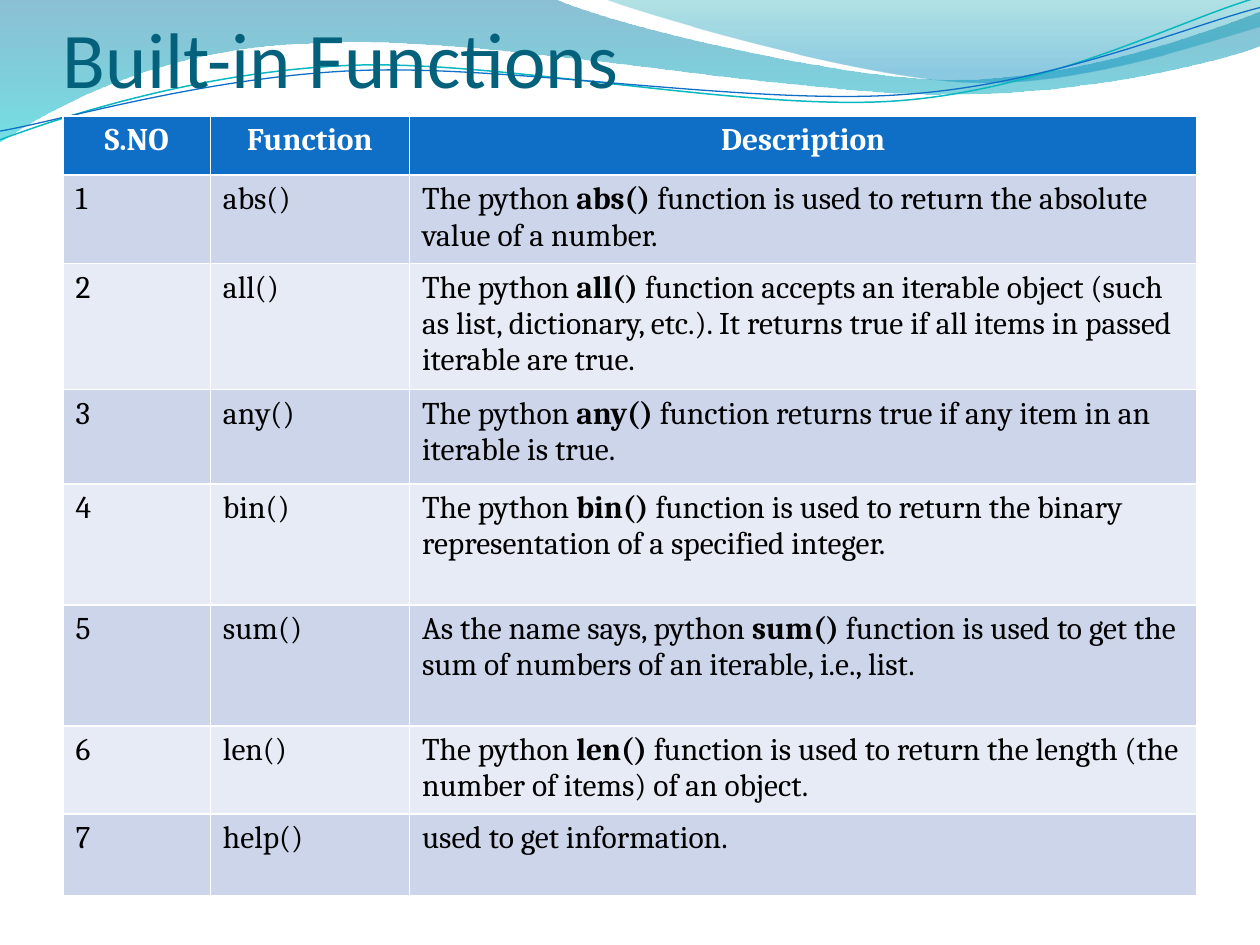
from pptx import Presentation
from pptx.dml.color import RGBColor
from pptx.enum.text import MSO_ANCHOR, PP_ALIGN
from pptx.oxml.ns import qn
from pptx.util import Pt
from lxml import etree

COLORS = {
    "title": "04617B", "header": "0F6FC6", "white": "FFFFFF", "text": "000000",
    "band_dark": "CCD5EA", "band_light": "E7EBF5",
    "teal_line": "0AB8BF", "blue_line": "0F6FC6",
}
NBSP = " "


def trace(shapes, start, segments, close):
    """Draw a freeform: a pair is a straight line, six numbers a cubic Bézier curve."""
    builder = shapes.build_freeform(Pt(start[0]), Pt(start[1]))
    points = [(Pt(seg[i]), Pt(seg[i + 1])) for seg in segments for i in range(0, len(seg), 2)]
    builder.add_line_segments(points, close=close)
    sp = builder.convert_to_shape()
    sp.shadow.inherit = False
    # Merge the three points of each curve into one Bézier element
    lines = iter(list(sp._element.spPr.iter(qn("a:lnTo"))))
    for seg in segments:
        first = next(lines)
        if len(seg) == 6:
            curve = etree.Element(qn("a:cubicBezTo"))
            first.addprevious(curve)
            for line in (first, next(lines), next(lines)):
                curve.append(line[0])
                line.getparent().remove(line)
    return sp


prs = Presentation()
prs.slide_width, prs.slide_height = Pt(720), Pt(540)
s = prs.slides.add_slide(prs.slide_layouts[6])

# Waves: start, segments, gradient stops (position, colour, opacity in percent)
waves = [
    ((0, 0),
     [(316.8, -0.7), (342.7, 12.2, 478.1, 45.4, 545.8, 45.4),
      (614.2, 45.4, 689.8, 18.7, 720, 6.5), (720.7, 25.9),
      (707.8, 31.7, 626.4, 54.7, 537.1, 54), (447.8, 54, 275, 20.2, 185, 24.5),
      (92.9, 25.9, 33.1, 59.8, -0.7, 81.4), (0, 0)],
     [(0, "0074A1", 45), (1, "00C6CF", 55)]),
    ((344.9, -0.7),
     [(366.5, 7.9, 491, 44.6, 553.7, 46.8), (616.3, 49.7, 691.9, 23, 720, 15.1),
      (720, 0), (344.9, -0.7)],
     [(0, "00A1A9", 30), (0.8, "008BBF", 45)]),
]
for start, segments, stops in waves:
    sp = trace(s.shapes, start, segments, True)
    sp.line.fill.background()
    sp.fill.gradient()
    sp.fill.gradient_angle = 270
    for stop, (position, color, _) in zip(sp.fill.gradient_stops, stops):
        stop.position = position
        stop.color.rgb = RGBColor.from_string(color)
    for clr, (_, _, opacity) in zip(sp._element.spPr.iter(qn("a:srgbClr")), stops):
        etree.SubElement(clr, qn("a:alpha"), val=str(opacity * 1000))

wave_lines = [
    ((0, 79.9),
     [(34.6, 67, 113.8, 41, 199.4, 37.4), (284.4, 33.8, 427, 64.1, 513.4, 57.6),
      (599.8, 51.1, 675.4, 10.8, 718.6, -1.4)], "teal_line", 0.85),
    ((0, 74.9),
     [(33.8, 69.1, 118.1, 43.9, 203.8, 40.3), (290.2, 36.7, 429.8, 60.5, 516.2, 54),
      (601.9, 48.2, 677.5, 15.1, 720, 4.3)], "blue_line", 0.75),
]
for start, segments, color, width in wave_lines:
    sp = trace(s.shapes, start, segments, False)
    sp.fill.background()
    sp.line.color.rgb = RGBColor.from_string(COLORS[color])
    sp.line.width = Pt(width)

# Title
tf = s.shapes.add_textbox(Pt(36), Pt(18), Pt(648), Pt(41.76)).text_frame
tf.word_wrap = True
tf.vertical_anchor = MSO_ANCHOR.BOTTOM
tf.margin_left = tf.margin_right = tf.margin_bottom = 0
tf.margin_top = Pt(3.6)
tf.text = "Built-in Functions"
font = tf.paragraphs[0].runs[0].font
font.name, font.size = "Calibri", Pt(45)
font.color.rgb = RGBColor.from_string(COLORS["title"])

# Table: function, words before its bold name, words after it
functions = [
    ("abs()", "The python", "function is used to return the absolute value of a number."),
    ("all()", "The python", "function accepts an iterable object (such as list, dictionary, "
     "etc.). It returns true if all items in passed iterable are true."),
    ("any()", "The python", "function returns true if any item in an iterable is true."),
    ("bin()", "The python", "function is used to return the binary representation of a "
     "specified integer."),
    ("sum()", "As the name says, python", "function is used to get the sum of numbers of "
     "an iterable, i.e., list."),
    ("len()", "The python", "function is used to return the length (the number of items) "
     "of an object."),
    ("help()", "", "used to get information."),
]
# Each cell is a list of (text, bold) runs
rows = [[[(head, True)] for head in ("S.NO", "Function", "Description")]]
for number, (name, lead, rest) in enumerate(functions, 1):
    description = [(rest, False)]
    if lead:
        description = [(lead + NBSP, False), (name, True), (NBSP + rest, False)]
    rows.append([[(str(number), False)], [(name, False)], description])

# The default table style supplies the white borders
col_widths = [84.24, 113.76, 450]
row_heights = [33.84, 48.96, 69.12, 54, 69.12, 69.12, 46.8, 46.8]
table = s.shapes.add_table(len(rows), len(col_widths), Pt(36), Pt(66.24),
                           Pt(sum(col_widths)), Pt(sum(row_heights))).table
for column, width in zip(table.columns, col_widths):
    column.width = Pt(width)
for row, height in zip(table.rows, row_heights):
    row.height = Pt(height)

for i, row in enumerate(rows):
    is_header = i == 0
    fill = "header" if is_header else "band_dark" if i % 2 else "band_light"
    for j, runs in enumerate(row):
        cell = table.cell(i, j)
        cell.fill.solid()
        cell.fill.fore_color.rgb = RGBColor.from_string(COLORS[fill])
        p = cell.text_frame.paragraphs[0]
        p.alignment = PP_ALIGN.CENTER if is_header else PP_ALIGN.LEFT
        for text, bold in runs:
            r = p.add_run()
            r.text = text
            r.font.name, r.font.size, r.font.bold = "Cambria", Pt(18), bold
            r.font.color.rgb = RGBColor.from_string(COLORS["white" if is_header else "text"])

prs.save("out.pptx")
